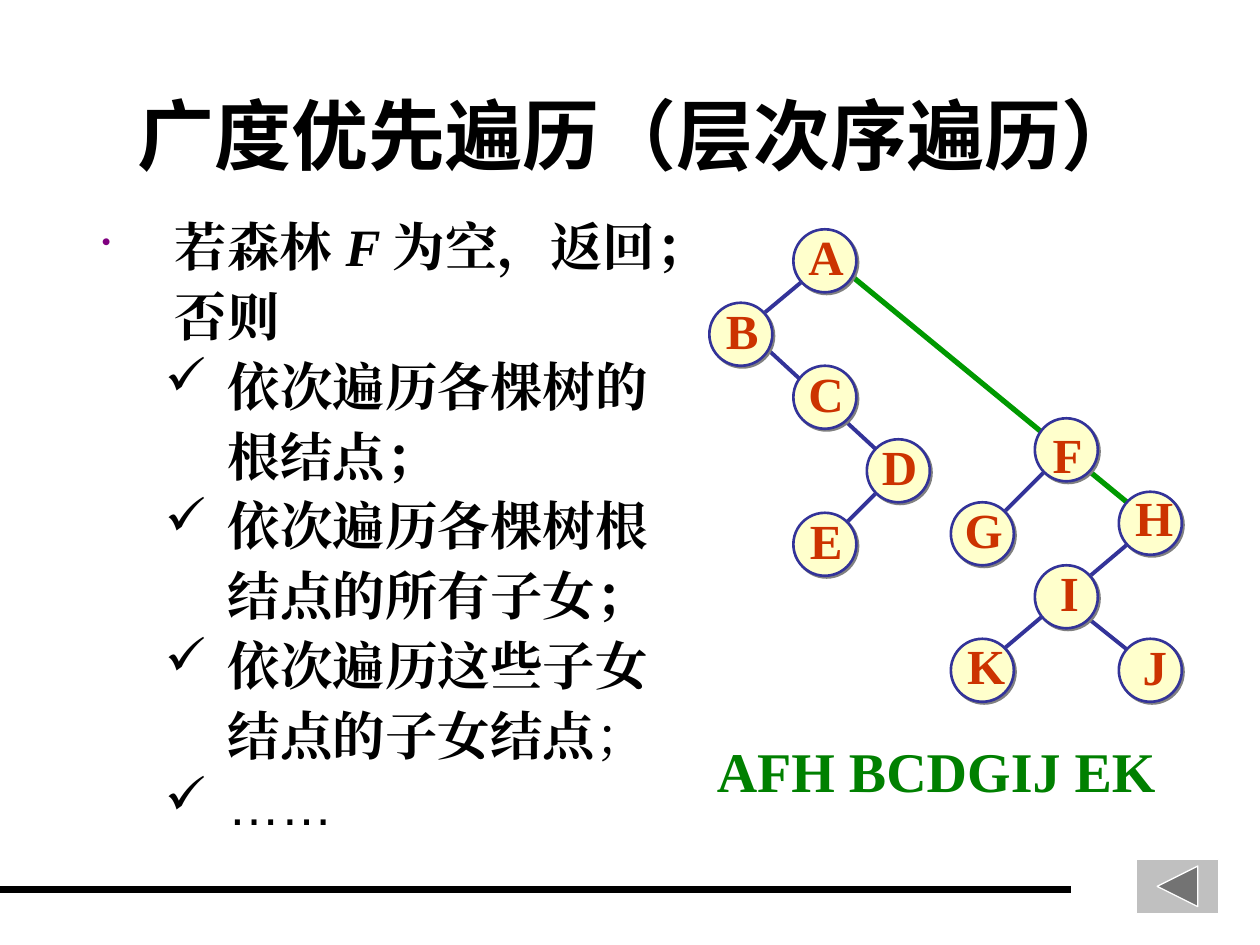
import pptx
import pptx.dml.color
import pptx.enum.shapes
import pptx.enum.text
import pptx.oxml
import pptx.oxml.ns
import pptx.util
from lxml import etree

UNIT = pptx.util.Inches(10) // 120  # the slide is a grid of 120 columns by 90 rows
TREE_COL, TREE_ROW = 67.56, 21.84
NODE_SIZE = 6
BLACK, NAVY, GREEN = "000000", "333399", "009900"
SERIF, SANS = "Times New Roman", "Arial"
ALIGN = pptx.enum.text.PP_ALIGN
ANCHOR = pptx.enum.text.MSO_ANCHOR
SHAPE = pptx.enum.shapes.MSO_SHAPE

# start column, start row, end column, end row within the tree
EDGES = [
    (17, 24, 12, 29), (4, 10, 17, 22), (10, 4, 4, 9),
    (36, 37, 41, 41), (41, 29, 28, 40), (33, 22, 27, 28),
]
ROOT_EDGE = (13, 4, 41, 27)

# letter: column and row of the node, then shift of its letter from the centre
NODES = {
    "A": (8, 0, 0.12, -0.42), "B": (0, 7, 0.12, -0.42),
    "C": (8, 13, 0.12, -0.42), "D": (15, 20, 0.12, -0.42),
    "E": (8, 27, 0.12, -0.42), "F": (31, 18, 0.12, 0.42),
    "G": (23, 26, 0.12, -0.42), "H": (39, 25, 0.36, -0.6),
    "I": (31, 32, 0.3, -0.42), "J": (39, 39, 0.42, -0.42),
    "K": (23, 39, 0.36, -0.54),
}

# left margin, hanging indent (inches), bullet, runs of (text, bold, italic, font)
STEPS = [
    (0.58, 0.58, "•", [("若森林 ", True, False, SERIF), ("F ", True, True, SERIF),
                       ("为空，返回；", True, False, SERIF)]),
    (0.58, 0, None, [("否则", True, False, SERIF)]),
    (1, 0.5, "✓", [("依次遍历各棵树的", True, False, SERIF)]),
    (1, 0, None, [("根结点；", True, False, SERIF)]),
    (1, 0.5, "✓", [("依次遍历各棵树根", True, False, SERIF)]),
    (1, 0, None, [("结点的所有子女；", True, False, SERIF)]),
    (1, 0.5, "✓", [("依次遍历这些子女", True, False, SERIF)]),
    (1, 0, None, [("结点的子女结点", True, False, SERIF), ("；", False, False, SERIF)]),
    (1, 0.5, "✓", [("……", False, False, SANS)]),
]


def grid(*cells):
    return [round(cell * UNIT) for cell in cells]


def color(value):
    return pptx.dml.color.RGBColor.from_string(value)


def add_xml(parent, tag, **attributes):
    return etree.SubElement(parent, pptx.oxml.ns.qn(tag), attributes)


def set_font(font, size, name, hex_color, bold=True, italic=False):
    """Set the font for both Latin and East Asian text."""
    font.size = pptx.util.Pt(size)
    font.name = name
    font.bold = bold
    font.italic = italic
    font.color.rgb = color(hex_color)
    latin = font._element.find(pptx.oxml.ns.qn("a:latin"))
    east = pptx.oxml.parse_xml(
        f'<a:ea {pptx.oxml.ns.nsdecls("a")} typeface="{name}"/>')
    latin.addnext(east)


def add_text_frame(s, box, anchor=ANCHOR.TOP, wrap=True):
    tf = s.shapes.add_textbox(*grid(*box)).text_frame
    tf.word_wrap = wrap
    tf.vertical_anchor = anchor
    return tf


def add_label(s, text, box, size, name, hex_color, align=ALIGN.CENTER,
              anchor=ANCHOR.MIDDLE, wrap=True):
    p = add_text_frame(s, box, anchor, wrap).paragraphs[0]
    p.alignment = align
    r = p.add_run()
    r.text = text
    set_font(r.font, size, name, hex_color)


def add_line(s, start_col, start_row, end_col, end_row, hex_color, width):
    line = s.shapes.add_connector(
        pptx.enum.shapes.MSO_CONNECTOR.STRAIGHT,
        *grid(start_col, start_row, end_col, end_row))
    line.line.color.rgb = color(hex_color)
    line.line.width = pptx.util.Pt(width)
    add_xml(line._element.spPr, "a:effectLst")


def add_edge(s, edge, hex_color, width):
    col, row, end_col, end_row = edge
    add_line(s, TREE_COL + col, TREE_ROW + row,
             TREE_COL + end_col, TREE_ROW + end_row, hex_color, width)


def add_shape(s, kind, box, fill, line, width):
    sp = s.shapes.add_shape(kind, *grid(*box))
    sp.shadow.inherit = False
    sp.fill.solid()
    sp.fill.fore_color.rgb = color(fill)
    sp.line.color.rgb = color(line)
    sp.line.width = pptx.util.Pt(width)
    return sp


def add_node(s, letter, col, row, shift_col, shift_row):
    left, top = TREE_COL + col, TREE_ROW + row
    sp = add_shape(s, SHAPE.OVAL, (left, top, NODE_SIZE, NODE_SIZE),
                   "FFFFCC", NAVY, 1.5)
    effects = sp._element.spPr.find(pptx.oxml.ns.qn("a:effectLst"))
    shadow = add_xml(effects, "a:outerShdw", dist=str(pptx.util.Pt(1.4)),
                     dir="2700000", algn="ctr", rotWithShape="0")
    add_xml(shadow, "a:srgbClr", val="808080")
    height = 6.84
    box = (left + shift_col, top + (NODE_SIZE - height) / 2 + shift_row,
           NODE_SIZE, height)
    add_label(s, letter, box, 28, SERIF, "CC3300", wrap=False)


def set_bullet(p, mark):
    """Give the paragraph a bullet: a small purple dot or a black check."""
    pPr = p._p.get_or_add_pPr()
    if mark is None:
        add_xml(pPr, "a:buNone")
        return
    dot = mark == "•"
    bullet_color = add_xml(pPr, "a:buClr")
    add_xml(bullet_color, "a:srgbClr", val="800080" if dot else BLACK)
    if dot:
        add_xml(pPr, "a:buSzPct", val="50000")
    add_xml(pPr, "a:buChar", char=mark)


def add_steps(s, box):
    tf = add_text_frame(s, box)
    for i, (margin, hanging, mark, runs) in enumerate(STEPS):
        p = tf.add_paragraph() if i else tf.paragraphs[0]
        p.line_spacing = pptx.util.Pt(32.4)
        p.space_before = pptx.util.Pt(7.5 if i else 0)
        pPr = p._p.get_or_add_pPr()
        pPr.set("marL", str(pptx.util.Inches(margin)))
        pPr.set("indent", str(-pptx.util.Inches(hanging)))
        set_bullet(p, mark)
        for text, bold, italic, name in runs:
            r = p.add_run()
            r.text = text
            set_font(r.font, 30, name, BLACK, bold, italic)


def main():
    prs = pptx.Presentation()
    prs.slide_width, prs.slide_height = grid(120, 90)
    s = prs.slides.add_slide(prs.slide_layouts[6])

    add_line(s, 0, 84.72, 102, 84.72, BLACK, 4.5)
    add_label(s, "广度优先遍历（层次序遍历）", (6.84, 5.52, 108, 14.4), 44, SANS, BLACK)
    add_label(s, "AFH BCDGIJ EK", (67.08, 69.6, 45.48, 7.68), 32, SERIF, "008000",
              ALIGN.LEFT, ANCHOR.TOP)
    add_shape(s, SHAPE.ACTION_BUTTON_BACK_OR_PREVIOUS, (108.24, 81.84, 7.8, 5.16),
              "C0C0C0", "FFFFFF", 0)

    add_edge(s, ROOT_EDGE, GREEN, 3)
    for edge in EDGES:
        add_edge(s, edge, NAVY, 2.25)
    for letter, place in NODES.items():
        add_node(s, letter, *place)
    add_steps(s, (8.52, 20.4, 64.56, 60.48))

    prs.save("out.pptx")


if __name__ == "__main__":
    main()
